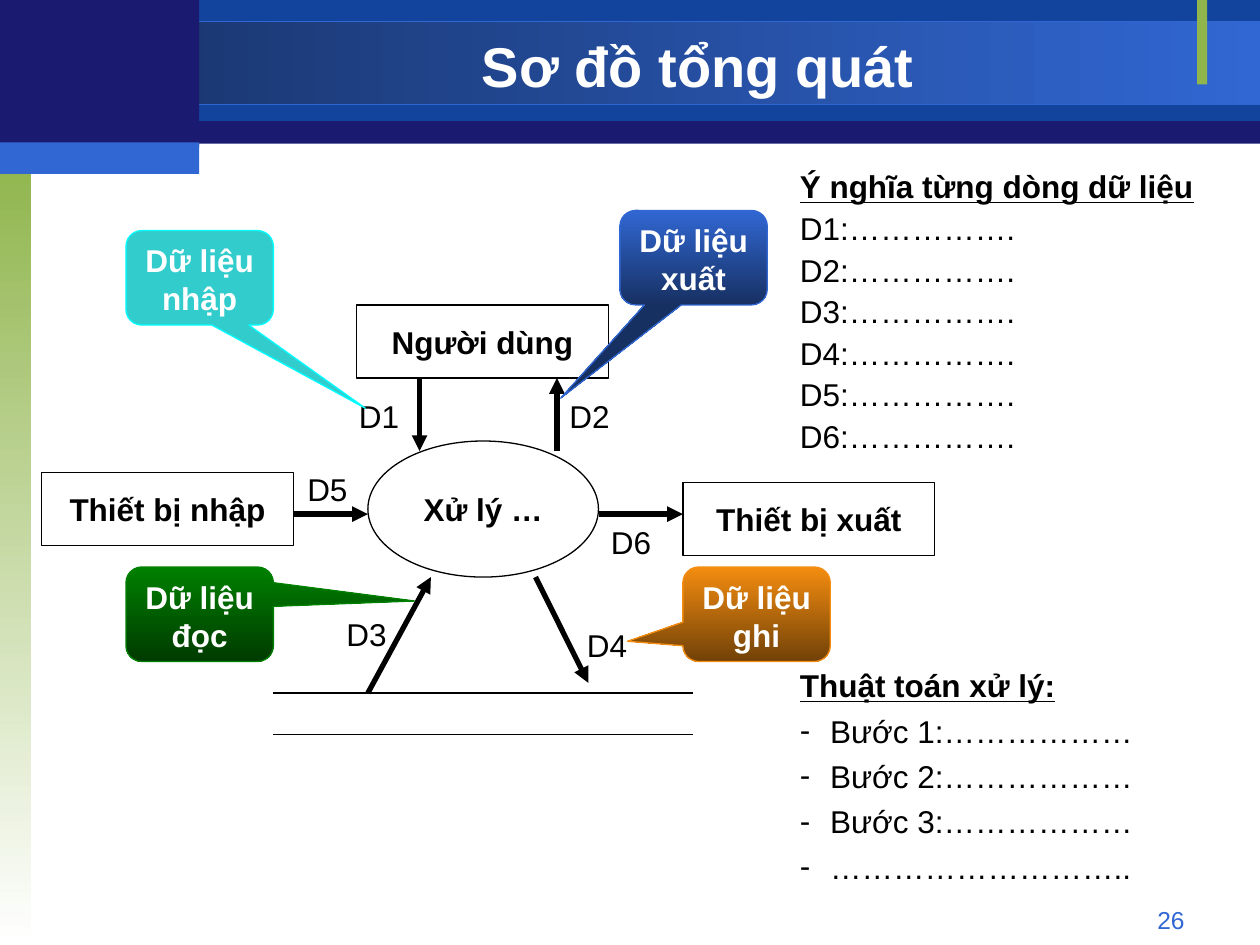
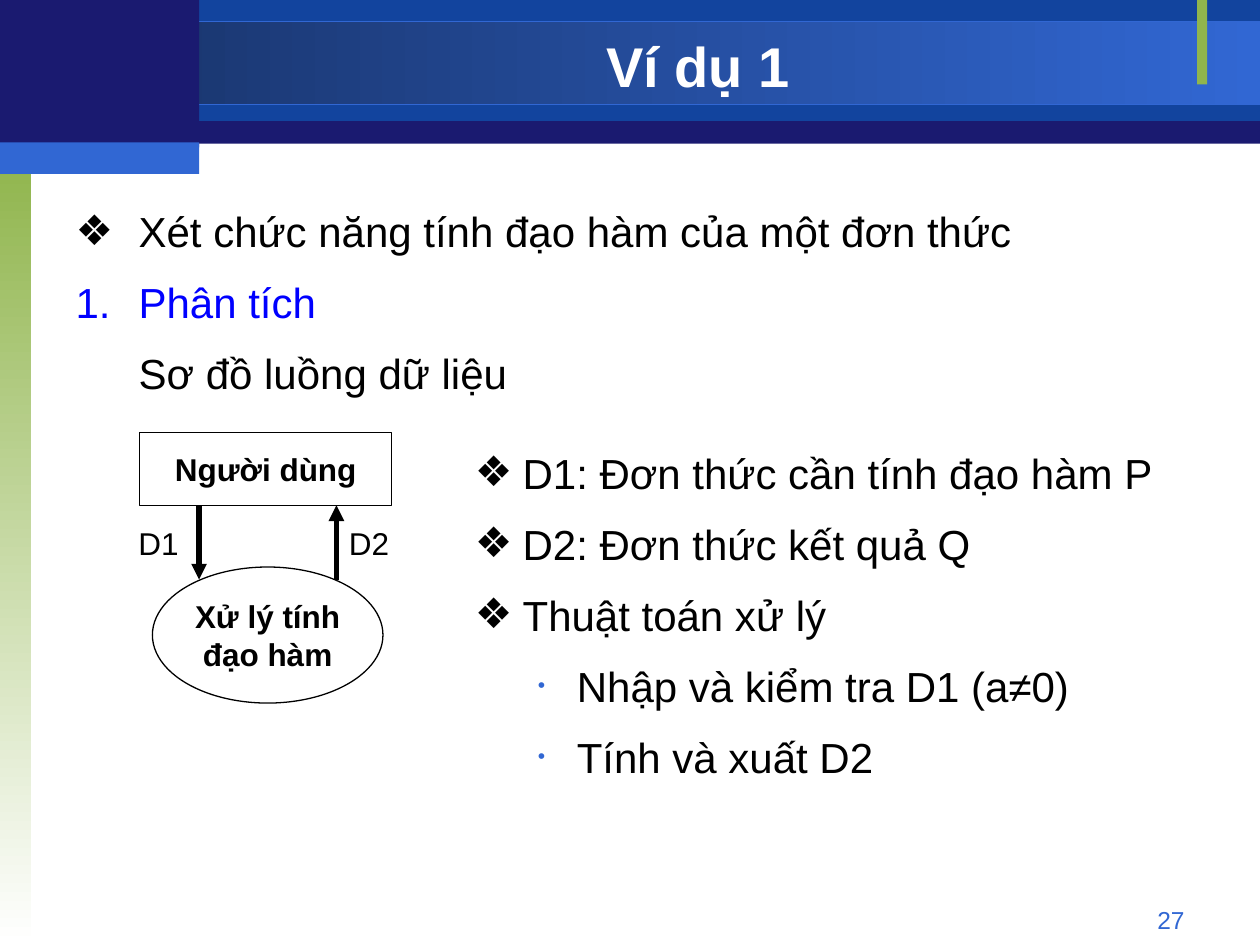
import pptx
import pptx.dml.color
import pptx.enum.shapes
import pptx.enum.text
import pptx.oxml
import pptx.oxml.ns
import pptx.util
from lxml import etree

Inches, Pt = pptx.util.Inches, pptx.util.Pt
RGBColor = pptx.dml.color.RGBColor
SHAPE = pptx.enum.shapes.MSO_SHAPE
STRAIGHT = pptx.enum.shapes.MSO_CONNECTOR.STRAIGHT
ANCHOR = pptx.enum.text.MSO_ANCHOR
AUTO_SIZE = pptx.enum.text.MSO_AUTO_SIZE
ALIGN = pptx.enum.text.PP_ALIGN
qn = pptx.oxml.ns.qn

FONT = "Arial"
BLACK = RGBColor(0x00, 0x00, 0x00)
WHITE = RGBColor(0xFF, 0xFF, 0xFF)
NAVY = RGBColor(0x1A, 0x1A, 0x70)
ROYAL = RGBColor(0x12, 0x44, 0x9E)
DEEP_BLUE = RGBColor(0x17, 0x30, 0x62)
BLUE = RGBColor(0x31, 0x67, 0xD3)
PURE_BLUE = RGBColor(0x00, 0x00, 0xFF)
LEAF = RGBColor(0x90, 0xB5, 0x4D)
TEAL = RGBColor(0x33, 0xCC, 0xCC)
CYAN = RGBColor(0x00, 0xFF, 0xFF)
GREEN = RGBColor(0x00, 0x80, 0x00)
DARK_GREEN = RGBColor(0x00, 0x3B, 0x00)
ORANGE = RGBColor(0xF4, 0x8D, 0x10)
BROWN = RGBColor(0x71, 0x41, 0x07)

# Fills are one colour, or (start, end, angle counter-clockwise).
RIGHTWARD, DOWNWARD = 0, 270
FRAME = [  # area, fill, line
    ((0, 0.01, 10, 1.13), NAVY, None),
    ((1.58, 0, 8.42, 0.96), ROYAL, None),
    ((0, 0.17, 10, 0.66), (DEEP_BLUE, BLUE, RIGHTWARD), BLUE),
    ((0, 1.25, 0.25, 6.25), (LEAF, WHITE, DOWNWARD), None),
    ((9.5, 0, 0.08, 0.67), LEAF, None),
    ((0, 0, 1.58, 1.17), NAVY, None),
    ((0, 1.13, 1.58, 0.25), BLUE, None),
]
TITLE_AREA = (1.58, 0.23, 7.92, 0.58)
NUMBER_AREA = (7.17, 7.13, 2.33, 0.27)
ENTITY_SIZE = (2, 0.58)
PROCESS_SIZE = (1.83, 1.08)
LABEL_SIZE = (0.52, 0.4)
CALLOUT_SIZE = (1.17, 0.75)

OVERVIEW = {
    "entities": [("Người dùng", 2.83, 2.42), ("Thiết bị nhập", 0.33, 3.75),
                 ("Thiết bị xuất", 5.42, 3.83)],
    "process": (["Xử lý …"], 2.92, 3.5),
    "flows": [((3.33, 3), (3.33, 3.58)), ((4.42, 3.58), (4.42, 3)),
              ((2.92, 5.5), (3.42, 4.58)), ((4.25, 4.58), (4.67, 5.42)),
              ((2.33, 4.08), (2.92, 4.08)), ((4.75, 4.08), (5.42, 4.08))],
    "labels": [("D1", 2.75, 3.1), ("D2", 4.42, 3.1), ("D3", 2.65, 4.83),
               ("D4", 4.56, 4.92), ("D5", 2.34, 3.68), ("D6", 4.75, 4.1)],
}
STORE_X, STORE_YS = (2.17, 5.5), (5.5, 5.83)
CALLOUTS = [  # text, corner, tip, fill, line
    ("Dữ liệu nhập", (1, 1.83), (2.9, 3.24), TEAL, CYAN),
    ("Dữ liệu xuất", (4.92, 1.67), (4.45, 3.16), (BLUE, DEEP_BLUE, DOWNWARD), BLUE),
    ("Dữ liệu đọc", (1, 4.5), (3.29, 4.77), (GREEN, DARK_GREEN, DOWNWARD), GREEN),
    ("Dữ liệu ghi", (5.42, 4.5), (4.98, 5.09), (ORANGE, BROWN, DOWNWARD), ORANGE),
]
MEANING_HEADING = "Ý nghĩa từng dòng dữ liệu"
MEANINGS = [f"D{number}:……………." for number in range(1, 7)]
ALGORITHM_HEADING = "Thuật toán xử lý:"
STEPS = [f"Bước {number}:………………" for number in range(1, 4)] + ["……………………….."]

EXAMPLE = {
    "entities": [("Người dùng", 1.11, 3.43)],
    "process": (["Xử lý tính", "đạo hàm"], 1.21, 4.5),
    "flows": [((1.58, 4.01), (1.58, 4.6)), ((2.67, 4.6), (2.67, 4.01))],
    "labels": [("D1", 1, 4.11), ("D2", 2.67, 4.11)],
}
DASH = {"bullet": "-", "indent": (0.24, -0.24)}
DIAMOND = {"bullet": "❖", "indent": (0.38, -0.38)}
DOT = {"bullet": "•", "indent": (0.81, -0.31), "bullet_color": BLUE,
       "bullet_percent": 50, "level": 1}
ANALYSIS = [
    ("Xét chức năng tính đạo hàm của một đơn thức",
     {"bullet": "❖", "indent": (0.5, -0.5)}),
    ("Phân tích", {"numbered": True, "indent": (0.5, -0.5),
                   "color": PURE_BLUE, "bullet_color": PURE_BLUE}),
    ("Sơ đồ luồng dữ liệu", {"indent": (0.5, 0)}),
]
SOLUTION = [
    ("D1: Đơn thức cần tính đạo hàm P", DIAMOND),
    ("D2: Đơn thức kết quả Q", DIAMOND),
    ("Thuật toán xử lý", DIAMOND),
    ("Nhập và kiểm tra D1 (a≠0)", DOT),
    ("Tính và xuất D2", DOT),
]


def inches(values):
    return [Inches(value) for value in values]


def set_bullet(paragraph, indent, bullet, numbered, color, percent):
    properties = paragraph._p.get_or_add_pPr()
    properties.set("marL", str(Inches(indent[0])))
    properties.set("indent", str(Inches(indent[1])))
    if not (bullet or numbered):
        etree.SubElement(properties, qn("a:buNone"))
        return
    bullet_color = etree.SubElement(properties, qn("a:buClr"))
    etree.SubElement(bullet_color, qn("a:srgbClr"), val=str(color))
    etree.SubElement(properties, qn("a:buSzPct"), val=str(percent * 1000))
    etree.SubElement(properties, qn("a:buFont"), typeface=FONT)
    if numbered:
        etree.SubElement(properties, qn("a:buAutoNum"), type="arabicPeriod")
    else:
        etree.SubElement(properties, qn("a:buChar"), char=bullet)


def write(frame, items, size=18, align=ALIGN.LEFT, spacing=None, before=0, **defaults):
    """Fill a text frame with (text, options) items; defaults apply to every item."""
    for index, (text, options) in enumerate(items):
        options = {**defaults, **options}
        paragraph = frame.paragraphs[0] if index == 0 else frame.add_paragraph()
        paragraph.level = options.get("level", 0)
        if "indent" in options:
            set_bullet(paragraph, options["indent"], options.get("bullet"),
                       options.get("numbered"), options.get("bullet_color", BLACK),
                       options.get("bullet_percent", 100))
        paragraph.alignment = align
        paragraph.space_before = Pt(before if index else 0)
        if spacing:
            paragraph.line_spacing = spacing
        run = paragraph.add_run()
        run.text = text
        run.font.name = FONT
        run.font.size = Pt(size)
        run.font.bold = options.get("bold", False)
        run.font.underline = options.get("underline", False)
        run.font.color.rgb = options.get("color", BLACK)


def add_text(slide, area, items, wrap=True, **style):
    frame = slide.shapes.add_textbox(*inches(area)).text_frame
    frame.word_wrap = wrap
    write(frame, items, **style)


def add_shape(slide, preset, area, fill, line):
    shape = slide.shapes.add_shape(preset, *inches(area))
    shape.shadow.inherit = False
    if fill is None:
        shape.fill.background()
    elif isinstance(fill, RGBColor):
        shape.fill.solid()
        shape.fill.fore_color.rgb = fill
    else:
        shape.fill.gradient()
        shape.fill.gradient_angle = fill[2]
        for stop, color in zip(shape.fill.gradient_stops, fill):
            stop.color.rgb = color
    if line is None:
        shape.line.fill.background()
    else:
        shape.line.color.rgb = line
        shape.line.width = Pt(0.75)
    return shape


def add_node(slide, preset, area, lines):
    frame = add_shape(slide, preset, area, None, BLACK).text_frame
    frame.word_wrap = False
    frame.vertical_anchor = ANCHOR.MIDDLE
    write(frame, [(line, {}) for line in lines], align=ALIGN.CENTER, bold=True)


def add_line(slide, start, end, width=0.75, arrow=False):
    connector = slide.shapes.add_connector(STRAIGHT, *inches(start + end))
    connector.line.color.rgb = BLACK
    connector.line.width = Pt(width)
    if arrow:
        outline = connector.element.spPr.find(qn("a:ln"))
        etree.SubElement(outline, qn("a:tailEnd"), type="triangle")
    etree.SubElement(connector.element.spPr, qn("a:effectLst"))


def add_diagram(slide, diagram):
    for name, left, top in diagram["entities"]:
        add_node(slide, SHAPE.RECTANGLE, (left, top, *ENTITY_SIZE), [name])
    lines, left, top = diagram["process"]
    add_node(slide, SHAPE.OVAL, (left, top, *PROCESS_SIZE), lines)
    for start, end in diagram["flows"]:
        add_line(slide, start, end, 3, arrow=True)
    for label, left, top in diagram["labels"]:
        add_text(slide, (left, top, *LABEL_SIZE), [(label, {})], wrap=False)


def add_callout(slide, text, corner, tip, fill, line):
    callout = add_shape(slide, SHAPE.ROUNDED_RECTANGULAR_CALLOUT,
                        (*corner, *CALLOUT_SIZE), fill, line)
    for axis in (0, 1):
        size = CALLOUT_SIZE[axis]
        callout.adjustments[axis] = (tip[axis] - corner[axis] - size / 2) / size
    frame = callout.text_frame
    frame.word_wrap = True
    frame.vertical_anchor = ANCHOR.TOP
    write(frame, [(text, {})], align=ALIGN.CENTER, bold=True, color=WHITE)


def place(placeholder, area, anchor):
    placeholder.left, placeholder.top, placeholder.width, placeholder.height = inches(area)
    frame = placeholder.text_frame
    frame.auto_size = AUTO_SIZE.NONE
    frame.vertical_anchor = anchor
    return frame


def add_slide(deck, layout_name, title, number):
    slide = deck.slides.add_slide(deck.slide_layouts.get_by_name(layout_name))
    write(place(slide.shapes.title, TITLE_AREA, ANCHOR.MIDDLE), [(title, {})],
          size=32, align=ALIGN.CENTER, bold=True, color=WHITE)
    add_text(slide, NUMBER_AREA, [(str(number), {})], size=14,
             align=ALIGN.RIGHT, color=BLUE)
    return slide


def add_frame_to_master(deck, slide):
    """Draw the bands on a slide, then move them to the master shared by all slides."""
    for area, fill, line in FRAME:
        band = add_shape(slide, SHAPE.RECTANGLE, area, fill, line)
        deck.slide_master.shapes.element.append(band.element)


def build_overview(deck):
    slide = add_slide(deck, "Title Only", "Sơ đồ tổng quát", 26)
    add_diagram(slide, OVERVIEW)
    for y in STORE_YS:
        add_line(slide, (STORE_X[0], y), (STORE_X[1], y))
    heading = {"bold": True, "underline": True}
    add_text(slide, (6.25, 1.25, 3.33, 2.41),
             [(MEANING_HEADING, heading)] + [(meaning, {}) for meaning in MEANINGS],
             spacing=1.1)
    add_text(slide, (6.25, 5.18, 2.92, 1.9),
             [(ALGORITHM_HEADING, heading)] + [(step, DASH) for step in STEPS],
             spacing=1.2)
    for callout in CALLOUTS:
        add_callout(slide, *callout)
    return slide


def build_example(deck):
    slide = add_slide(deck, "Title and Content", "Ví dụ 1", 27)
    list_style = {"size": 24, "spacing": 1.2, "before": 6}
    body = place(slide.placeholders[1], (0.5, 1.5, 9, 5.5), ANCHOR.TOP)
    write(body, ANALYSIS, **list_style)
    add_diagram(slide, EXAMPLE)
    add_text(slide, (3.67, 3.42, 5.83, 3.08), SOLUTION, align=ALIGN.JUSTIFY, **list_style)


def main():
    deck = pptx.Presentation()
    deck.slide_width, deck.slide_height = Inches(10), Inches(7.5)
    overview = build_overview(deck)
    build_example(deck)
    add_frame_to_master(deck, overview)
    deck.save("out.pptx")


if __name__ == "__main__":
    main()
